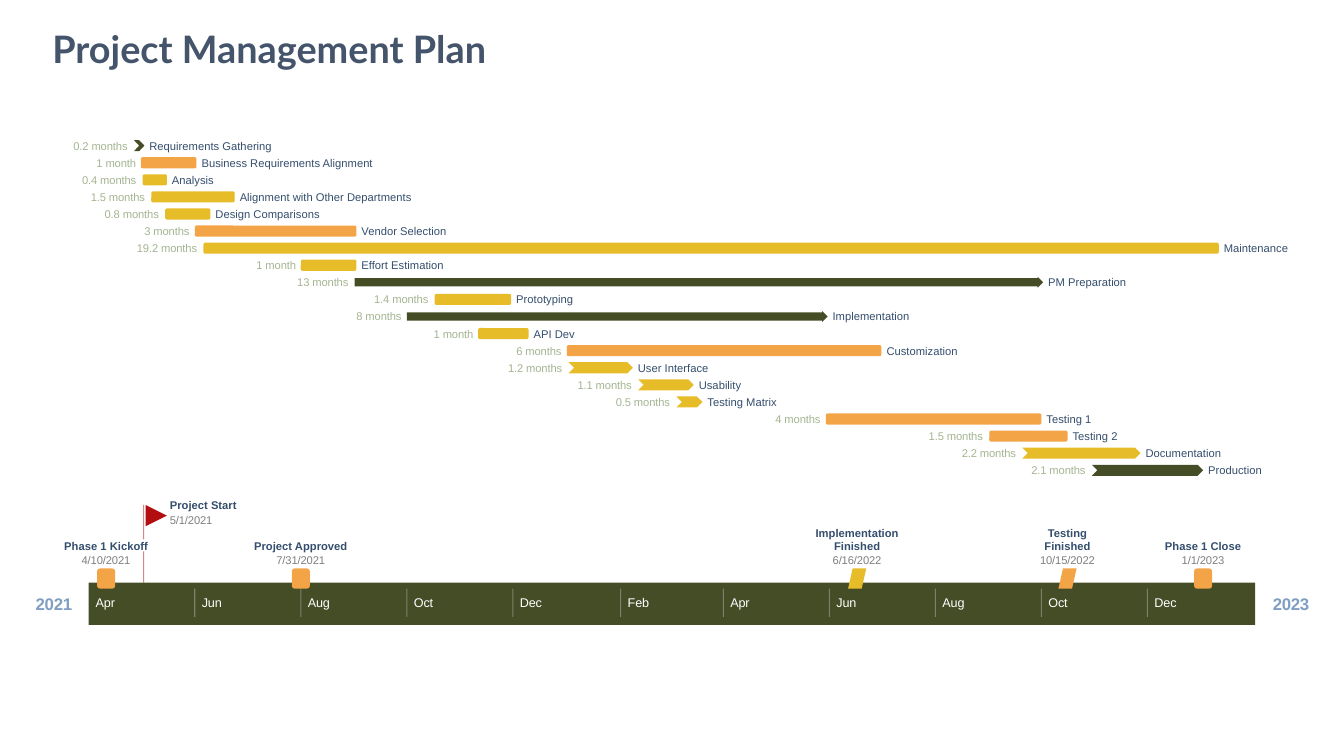
from itertools import accumulate
from lxml import etree
from pptx import Presentation, util as u
from pptx.dml.color import RGBColor
from pptx.enum import shapes, text
from pptx.oxml.ns import qn

WHITE = RGBColor(255, 255, 255)
OLIVE = RGBColor(0x44, 0x4D, 0x26)
ORANGE = RGBColor(0xF3, 0xA4, 0x47)
GOLD = RGBColor(0xE7, 0xBC, 0x29)
RED = RGBColor(0xB2, 0x0E, 0x12)
NAVY = RGBColor(0x34, 0x4E, 0x6D)
SLATE = RGBColor(0x44, 0x54, 0x6A)
BLUE = RGBColor(0x80, 0x9E, 0xC2)
SAGE = RGBColor(0xA5, 0xB5, 0x92)
GREY = RGBColor(0x7F, 0x7F, 0x7F)

KIND = shapes.MSO_SHAPE
BAR, CHEV, ARROW = KIND.ROUNDED_RECTANGLE, KIND.CHEVRON, KIND.RIGHT_ARROW
SLANT, FLAG = KIND.PARALLELOGRAM, KIND.FLOWCHART_MERGE
MID, CENTER, LEFT = text.MSO_ANCHOR.MIDDLE, text.PP_ALIGN.CENTER, text.PP_ALIGN.LEFT

WIDE, HIGH = 13.33, 7.5
BAND = (0.88, 5.78, 11.57, 0.42)
CHART = (0.88, 1.39, 11.57, 3.39)
SPAN = 671  # days shown across the band
SLACK = 0.12  # spare width that keeps a label on its line
DAYS = [31, 28, 31, 30, 31, 30, 31, 31, 30, 31, 30, 31] * 2
FIRST = [0, *accumulate(DAYS)]  # days before each month, from January 2021
MONTHS = ["Apr", "Jun", "Aug", "Oct", "Dec", "Feb", "Apr", "Jun", "Aug", "Oct", "Dec"]
SPANW = {7: 0.4, 8: 0.46, 9: 0.53, 10: 0.56, 11: 0.62}  # width by text length

# name, name width, duration, start day, length in days, shape, colour
TASKS = [
    ("Requirements Gathering", 1.25, "0.2 months", 26, 6, CHEV, OLIVE),
    ("Business Requirements Alignment", 1.69, "1 month", 30, 32, BAR, ORANGE),
    ("Analysis", 0.42, "0.4 months", 31, 14, BAR, GOLD),
    ("Alignment with Other Departments", 1.71, "1.5 months", 36, 48, BAR, GOLD),
    ("Design Comparisons", 1.04, "0.8 months", 44, 26, BAR, GOLD),
    ("Vendor Selection", 0.85, "3 months", 61, 93, BAR, ORANGE),
    ("Maintenance", 0.64, "19.2 months", 66, 584, BAR, GOLD),
    ("Effort Estimation", 0.82, "1 month", 122, 32, BAR, GOLD),
    ("PM Preparation", 0.78, "13 months", 153, 396, ARROW, OLIVE),
    ("Prototyping", 0.57, "1.4 months", 199, 44, BAR, GOLD),
    ("Implementation", 0.76, "8 months", 183, 242, ARROW, OLIVE),
    ("API Dev", 0.42, "1 month", 224, 29, BAR, GOLD),
    ("Customization", 0.71, "6 months", 275, 181, BAR, ORANGE),
    ("User Interface", 0.71, "1.2 months", 276, 37, CHEV, GOLD),
    ("Usability", 0.46, "1.1 months", 316, 32, CHEV, GOLD),
    ("Testing Matrix", 0.69, "0.5 months", 338, 15, CHEV, GOLD),
    ("Testing 1", 0.46, "4 months", 424, 124, BAR, ORANGE),
    ("Testing 2", 0.46, "1.5 months", 518, 45, BAR, ORANGE),
    ("Documentation", 0.75, "2.2 months", 537, 68, CHEV, GOLD),
    ("Production", 0.54, "2.1 months", 577, 64, CHEV, OLIVE),
]
# name, name width, lines, date, shape, colour
STONES = [
    ("Phase 1 Kickoff", 0.83, 1, "4/10/2021", BAR, ORANGE),
    ("Project Approved", 0.93, 1, "7/31/2021", BAR, ORANGE),
    ("Implementation Finished", 0.86, 2, "6/16/2022", SLANT, GOLD),
    ("Testing Finished", 0.5, 2, "10/15/2022", SLANT, ORANGE),
    ("Phase 1 Close", 0.76, 1, "1/1/2023", BAR, ORANGE),
]


def put(thing, **vals):
    for name, val in vals.items():
        setattr(thing, name, val)


def inch(*nums):
    return [u.Inches(n) for n in nums]


def write(slide, box, words, color, size=8, font="Arial", bold=False,
          align=LEFT, anchor=MID, inset=0, track=0):
    frame = slide.shapes.add_textbox(*inch(*box)).text_frame
    side = u.Inches(inset)
    put(frame, word_wrap=True, vertical_anchor=anchor, margin_left=side,
        margin_right=side, margin_top=side // 2, margin_bottom=side // 2)
    para = frame.paragraphs[0]
    para.alignment = align
    run = para.add_run()
    run.text = words
    put(run.font, name=font, size=u.Pt(size), bold=bold)
    run.font.color.rgb = color
    if track:
        run.font._element.set("spc", str(track))


def draw(slide, kind, box, color):
    shape = slide.shapes.add_shape(kind, *inch(*box))
    shape.shadow.inherit = False
    shape.fill.solid()
    shape.fill.fore_color.rgb = color
    shape.line.fill.background()
    return shape


def rule(slide, x, top, end, color, alpha):
    """Draw a thin upright line; alpha is its opacity in percent."""
    line = slide.shapes.add_connector(shapes.MSO_CONNECTOR.STRAIGHT, *inch(x, top, x, end))
    line.line.color.rgb = color
    line.line.width = u.Pt(0.75)
    props = line._element.spPr
    tint = props.find(".//" + qn("a:srgbClr"))
    etree.SubElement(tint, qn("a:alpha")).set("val", str(alpha * 1000))
    etree.SubElement(props, qn("a:effectLst"))


def place(box, day):
    return box[0] + box[2] * day / SPAN


def count(date):
    """Turn month/day/year into days on the band, to the end of that day."""
    month, day, year = map(int, date.split("/"))
    return FIRST[month - 1 + 12 * (year - 2021)] - FIRST[3] + day


def gantt(slide, box):
    row = box[3] / len(TASKS)
    for i, (name, wide, span, start, days, kind, color) in enumerate(TASKS):
        top = box[1] + i * row
        x, end = place(box, start), place(box, start + days)
        bar = draw(slide, kind, (x, top, end - x, 0.11), color)
        if kind == ARROW:
            bar.adjustments[0] = 0.75
        room = SPANW[len(span)] + 0.04
        write(slide, (x - room, top - 0.01, room, 0.13), span, SAGE, track=-10)
        write(slide, (end + 0.05, top - 0.01, wide + SLACK, 0.13), name, NAVY)


def band(slide, box):
    left, top, wide, high = box
    draw(slide, KIND.RECTANGLE, box, OLIVE)
    for i, name in enumerate(MONTHS):
        x = place(box, FIRST[3 + 2 * i] - FIRST[3])
        if i:
            rule(slide, x, top + 0.06, top + 0.34, WHITE, 30)
        write(slide, (x + 0.07, top + 0.13, 0.5, 0.14), name, WHITE, 9, track=-10)
    for year, x in (("2021", left - 0.59), ("2023", left + wide + 0.11)):
        write(slide, (x, top + 0.11, 0.49, 0.19), year, BLUE, 12, bold=True,
              align=CENTER, track=-20)


def stones(slide, box):
    top = box[1]
    for name, wide, lines, date, kind, color in STONES:
        x = place(box, count(date))
        draw(slide, kind, (x - 0.09, top - 0.14, 0.18, 0.2), color)
        tall, room = 0.13 * lines, wide + SLACK
        write(slide, (x - room / 2, top - 0.3 - tall, room, tall), name, NAVY,
              bold=True, align=CENTER)
        write(slide, (x - 0.35, top - 0.29, 0.7, 0.13), date, GREY,
              align=CENTER, track=-10)


def flag(slide, box):
    top, date = box[1], "5/1/2021"
    x = place(box, count(date)) + 0.01
    for start, end in ((0.77, 0.43), (0.31, 0)):
        rule(slide, x, top - start, top - end, RED, 50)
    draw(slide, FLAG, (x + 0.02, top - 0.77, 0.21, 0.21), RED).rotation = 270
    write(slide, (x + 0.26, top - 0.83, 0.8, 0.13), "Project Start", NAVY, bold=True)
    write(slide, (x + 0.26, top - 0.69, 0.6, 0.13), date, GREY, track=-10)


def main():
    deck = Presentation()
    put(deck, slide_width=u.Inches(WIDE), slide_height=u.Inches(HIGH))
    slide = deck.slides.add_slide(deck.slide_layouts[6])
    write(slide, (0.42, 0.35, WIDE / 2, 0.4), "Project Management Plan", SLATE, 27,
          "Lato", True, anchor=text.MSO_ANCHOR.BOTTOM, inset=0.1)
    band(slide, BAND)
    gantt(slide, CHART)
    flag(slide, BAND)
    stones(slide, BAND)
    deck.save("out.pptx")


if __name__ == "__main__":
    main()
